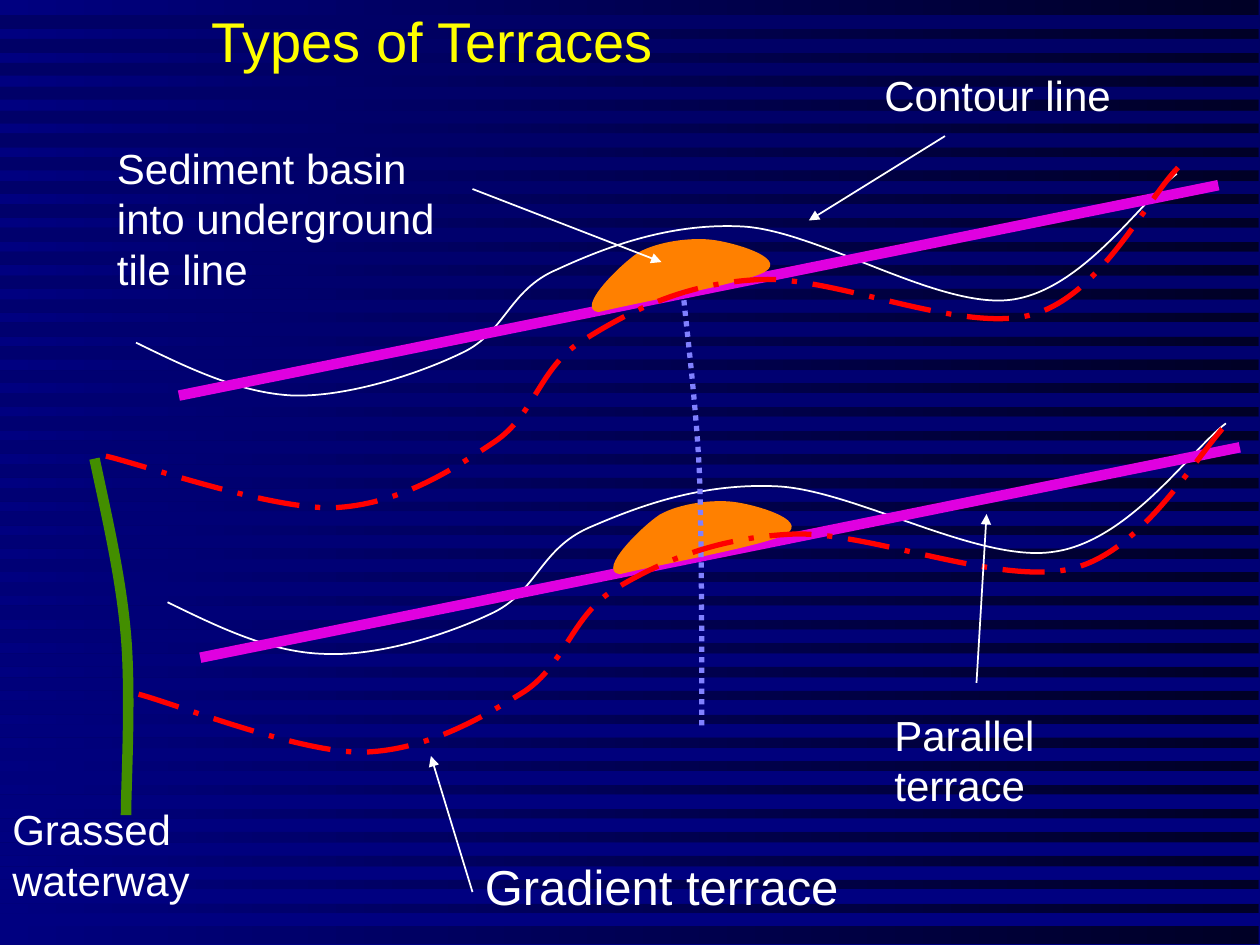
from dataclasses import dataclass
from typing import Optional

from lxml import etree
from pptx import Presentation
from pptx import util as u
from pptx.dml.color import RGBColor
from pptx.enum import dml, shapes, text
from pptx.oxml.ns import qn

PX = 9144  # EMU per px, 100 px to the inch
WIDE, HIGH = 1000, 750
HUES = {
    "white": "FFFFFF", "yellow": "FFFF00", "pink": "E000E0",
    "orange": "FF8000", "violet": "8080FF", "red": "FF0000",
    "green": "438E00", "night": "000026", "deep": "000066", "navy": "000080",
}
Point = tuple[int, int]


@dataclass
class Curve:
    hue: str
    width: int
    pts: list[Point]  # start, then three points for each Bezier piece
    dash: Optional[dml.MSO_LINE] = None
    solid: bool = False


@dataclass
class Line:
    start: Point
    end: Point
    hue: str = "white"
    width: int = 1
    arrow: bool = True


@dataclass
class Label:
    words: str
    x: int
    y: int
    w: int
    h: int
    size: int = 24
    hue: str = "white"


def rgb(hue: str) -> RGBColor:
    return RGBColor.from_string(HUES[hue])


def blend(fill, first: str, last: str, angle: int) -> None:
    fill.gradient()
    fill.gradient_angle = angle
    for stop, hue in zip(fill.gradient_stops, (first, last)):
        stop.color.rgb = rgb(hue)


def outline(tree, pts: list[Point], close: bool):
    pen = tree.build_freeform(*pts[0], scale=PX)
    pen.add_line_segments(pts[1:], close=close)
    shape = pen.convert_to_shape()
    shape.shadow.inherit = False
    return shape


def bend(shape) -> None:
    """Turn each run of three line points into one cubic Bezier."""
    legs = list(shape._element.iter(qn("a:lnTo")))
    for i in range(0, len(legs), 3):
        cubic = etree.Element(qn("a:cubicBezTo"))
        legs[i].addprevious(cubic)
        for leg in legs[i:i + 3]:
            cubic.append(leg[0])
            leg.getparent().remove(leg)


def draw_curve(tree, item: Curve) -> None:
    shape = outline(tree, item.pts, item.solid)
    bend(shape)
    if item.solid:
        shape.fill.solid()
        shape.fill.fore_color.rgb = rgb(item.hue)
    else:
        shape.fill.background()
    shape.line.color.rgb = rgb(item.hue)
    shape.line.width = u.Pt(item.width)
    if item.dash:
        shape.line.dash_style = item.dash


def draw_line(tree, item: Line) -> None:
    ends = [v * PX for v in item.start + item.end]
    line = tree.add_connector(shapes.MSO_CONNECTOR.STRAIGHT, *ends)
    line.line.color.rgb = rgb(item.hue)
    line.line.width = u.Pt(item.width)
    props = line._element.spPr
    if item.arrow:
        etree.SubElement(props.find(qn("a:ln")), qn("a:tailEnd"), type="triangle")
    etree.SubElement(props, qn("a:effectLst"))


def draw_label(tree, item: Label) -> None:
    box = tree.add_textbox(*(v * PX for v in (item.x, item.y, item.w, item.h)))
    frame = box.text_frame
    frame.word_wrap = True
    frame.auto_size = text.MSO_AUTO_SIZE.SHAPE_TO_FIT_TEXT
    frame.text = item.words
    font = frame.paragraphs[0].font
    font.name, font.size = "Arial", u.Pt(item.size)
    font.color.rgb = rgb(item.hue)


def draw_back(slide) -> None:
    blend(slide.background.fill, "deep", "navy", 270)
    base = slide.shapes.add_shape(
        shapes.MSO_SHAPE.RECTANGLE, 0, 0, (WIDE - 1) * PX, (HIGH - 1) * PX)
    base.shadow.inherit = False
    base.line.fill.background()
    blend(base.fill, "night", "navy", 180)
    # 39 even stripes, joined along the right edge
    pts = []
    for i in range(39):
        top = 12.5 + 18.75 * i
        low, high = round(top), round(top + 10.42)
        pts += [(WIDE, low), (0, low), (0, high), (WIDE, high)]
    stripes = outline(slide.shapes, pts, True)
    stripes.line.fill.background()
    blend(stripes.fill, "deep", "navy", 270)


CONTOURS = [
    [(108, 272), (149, 292), (190, 312), (233, 314), (276, 315), (332, 297),
     (367, 280), (401, 264), (404, 230), (442, 214), (479, 197), (532, 176),
     (592, 180), (652, 185), (745, 245), (802, 238), (859, 231), (906, 159),
     (934, 138)],
    [(133, 478), (174, 498), (215, 518), (258, 519), (301, 521), (357, 503),
     (392, 486), (426, 469), (429, 436), (467, 419), (504, 403), (555, 383),
     (617, 386), (678, 389), (777, 447), (836, 438), (896, 430), (945, 357),
     (973, 336)],
]
BASIN = [(475, 247), (458, 245), (492, 211), (507, 201), (523, 192), (549, 189),
         (565, 191), (582, 193), (623, 205), (607, 215), (592, 224), (503, 240),
         (475, 247)]
TILE = [(542, 230), (544, 254), (552, 315), (555, 373), (557, 430), (557, 535),
        (557, 578)]
GRADES = [
    [(84, 362), (114, 369), (213, 404), (264, 403), (316, 401), (359, 373),
     (392, 351), (425, 329), (428, 291), (463, 270), (498, 248), (542, 225),
     (601, 222), (660, 218), (762, 265), (818, 250), (873, 236), (910, 158),
     (935, 133)],
    [(110, 551), (140, 559), (236, 597), (287, 597), (338, 596), (382, 570),
     (416, 549), (449, 527), (454, 488), (489, 467), (524, 446), (568, 427),
     (628, 424), (689, 421), (794, 466), (852, 451), (910, 436), (951, 358),
     (977, 333)],
]
WATER = [(75, 364), (85, 411), (96, 458), (100, 505), (104, 553), (100, 623),
         (100, 647)]
LABELS = [
    Label("Types of Terraces", 158, 0, 450, 64, 32, "yellow"),
    Label("Gradient terrace", 375, 675, 383, 57, 28),
    Label("Parallel terrace", 700, 558, 225, 90),
    Label("Sediment basin into underground tile line", 83, 108, 292, 130),
    Label("Grassed waterway", 0, 633, 250, 90),
    Label("Contour line", 692, 50, 258, 50),
]
ARROWS = [
    Line((375, 708), (342, 600)),
    Line((775, 542), (783, 408)),
    Line((375, 150), (525, 208)),
    Line((750, 108), (642, 175)),
]


def main() -> None:
    deck = Presentation()
    deck.slide_width, deck.slide_height = WIDE * PX, HIGH * PX
    slide = deck.slides.add_slide(deck.slide_layouts[6])
    tree = slide.shapes
    draw_back(slide)
    # Contours, then each parallel terrace with its basin
    for pts in CONTOURS:
        draw_curve(tree, Curve("white", 1, pts))
    for dx, dy in ((0, 0), (17, 208)):
        draw_line(tree, Line((142 + dx, 314 + dy), (967 + dx, 147 + dy), "pink", 6, False))
        moved = [(x + dx, y + dy) for x, y in BASIN]
        draw_curve(tree, Curve("orange", 1, moved, solid=True))
    # Tile line, gradient terraces and waterway
    draw_curve(tree, Curve("violet", 3, TILE, dml.MSO_LINE.ROUND_DOT))
    for pts in GRADES:
        draw_curve(tree, Curve("red", 3, pts, dml.MSO_LINE.LONG_DASH_DOT))
    draw_curve(tree, Curve("green", 6, WATER))
    # Labels and their arrows
    for label in LABELS:
        draw_label(tree, label)
    for arrow in ARROWS:
        draw_line(tree, arrow)
    deck.save("out.pptx")


if __name__ == "__main__":
    main()
